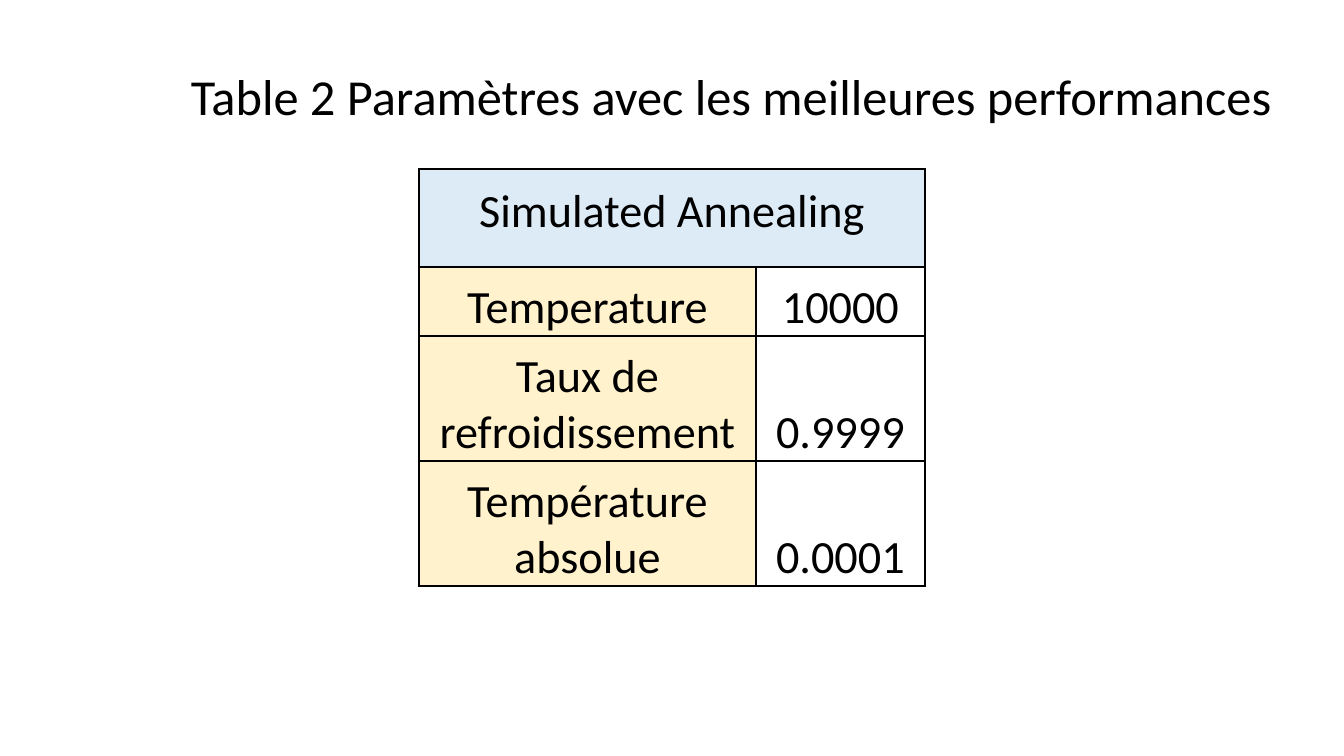
from lxml.etree import SubElement
from pptx import Presentation
from pptx.dml.color import RGBColor
from pptx.enum.text import MSO_ANCHOR, PP_ALIGN
from pptx.oxml.ns import qn
from pptx.util import Emu, Pt

TITLE = "Table 2 Paramètres avec les meilleures performances"
HEADING = "Simulated Annealing"
PARAMETERS = [
    ("Temperature", "10000"),
    ("Taux de refroidissement", "0.9999"),
    ("Température absolue", "0.0001"),
]

COLORS = {"text": "000000", "border": "000000", "heading": "DDEBF7", "label": "FFF2CC"}
FONT = "Calibri"
SLIDE_SIZE = (1344, 756)
TITLE_BOX = (151, 41, 1161, 90)
TABLE_CORNER = (419, 169)
COLUMN_WIDTHS = (337, 169)
ROW_HEIGHTS = (98, 69, 125, 125)
MARGIN_SIDES = ("margin_left", "margin_top", "margin_right", "margin_bottom")
HEADING_MARGINS = (30, 15, 30, 15)
PARAMETER_MARGINS = (2, 2, 2, 0)


def px(length):
    return Emu(round(length * 914400 / 100.8))


def apply_format(target, values):
    for attribute, value in values.items():
        setattr(target, attribute, value)


def write(frame, text, size):
    paragraph = frame.paragraphs[0]
    paragraph.alignment = PP_ALIGN.CENTER
    run = paragraph.add_run()
    run.text = text
    apply_format(run.font, {"name": FONT, "size": Pt(size)})
    run.font.color.rgb = RGBColor.from_string(COLORS["text"])
    return paragraph


def add_borders(cell):
    properties = cell._tc.get_or_add_tcPr()
    for side in ("lnL", "lnR", "lnT", "lnB"):
        border = SubElement(properties, qn(f"a:{side}"), w=str(Pt(1)))
        fill = SubElement(border, qn("a:solidFill"))
        SubElement(fill, qn("a:srgbClr"), val=COLORS["border"])


def format_cell(cell, text, color, margins, anchor):
    sides = {side: px(length) for side, length in zip(MARGIN_SIDES, margins)}
    apply_format(cell, {**sides, "vertical_anchor": anchor})
    add_borders(cell)
    if color:
        cell.fill.solid()
        cell.fill.fore_color.rgb = RGBColor.from_string(COLORS[color])
    else:
        cell.fill.background()
    if text:
        write(cell.text_frame, text, 33)


def add_title(slide):
    frame = slide.shapes.add_textbox(*map(px, TITLE_BOX)).text_frame
    apply_format(frame, {"word_wrap": True, "vertical_anchor": MSO_ANCHOR.BOTTOM})
    paragraph = write(frame, TITLE, 36)
    apply_format(paragraph, {"line_spacing": 0.9, "space_after": Pt(6)})


def add_parameters(slide):
    bounds = (*TABLE_CORNER, sum(COLUMN_WIDTHS), sum(ROW_HEIGHTS))
    table = slide.shapes.add_table(
        len(ROW_HEIGHTS), len(COLUMN_WIDTHS), *map(px, bounds)
    ).table
    apply_format(table, {"first_row": False, "horz_banding": False})
    for column, width in zip(table.columns, COLUMN_WIDTHS):
        column.width = px(width)
    for row, height in zip(table.rows, ROW_HEIGHTS):
        row.height = px(height)

    table.cell(0, 0).merge(table.cell(0, 1))
    for column, text in enumerate((HEADING, "")):
        format_cell(table.cell(0, column), text, "heading", HEADING_MARGINS, MSO_ANCHOR.TOP)
    for row, parameter in enumerate(PARAMETERS, start=1):
        for column, (text, color) in enumerate(zip(parameter, ("label", None))):
            format_cell(table.cell(row, column), text, color, PARAMETER_MARGINS, MSO_ANCHOR.BOTTOM)


def main():
    presentation = Presentation()
    width, height = map(px, SLIDE_SIZE)
    apply_format(presentation, {"slide_width": width, "slide_height": height})
    slide = presentation.slides.add_slide(presentation.slide_layouts[6])
    add_parameters(slide)
    add_title(slide)
    presentation.save("out.pptx")


if __name__ == "__main__":
    main()
